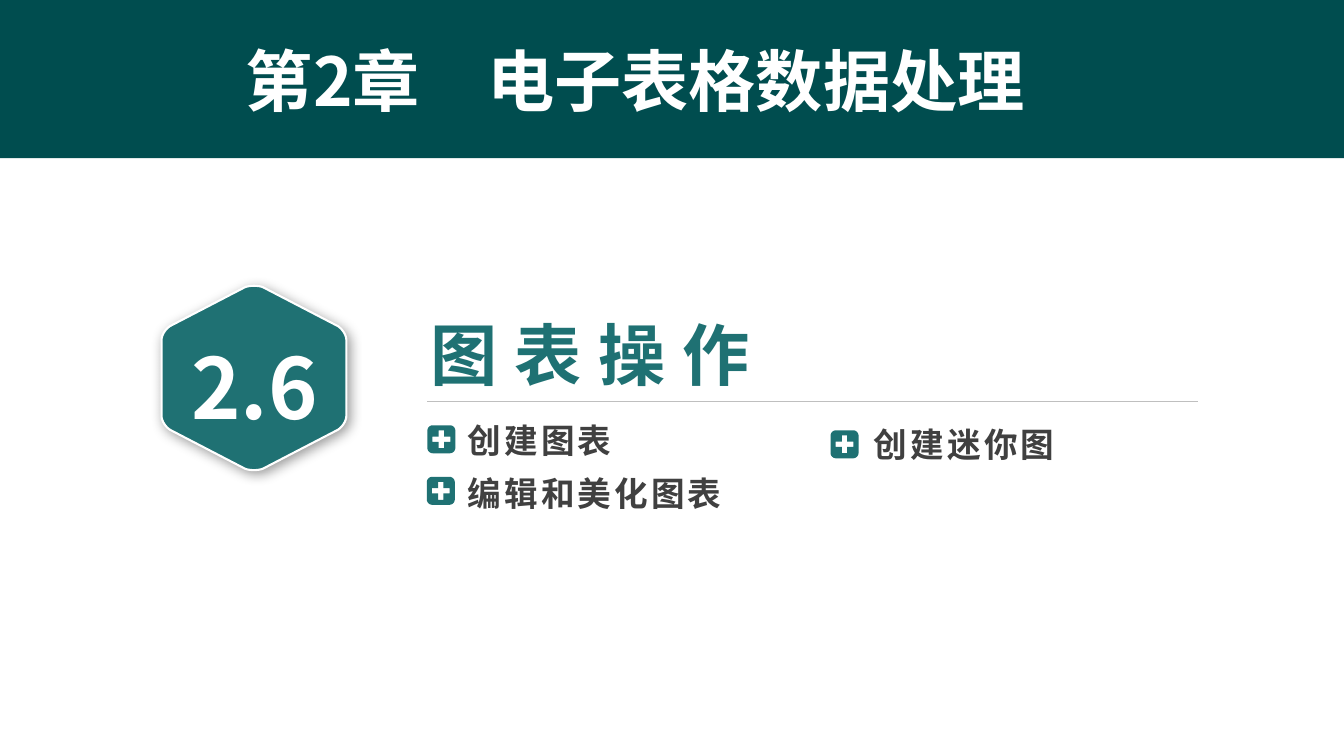
from math import cos, pi, sin
from lxml.etree import SubElement
from pptx import Presentation
from pptx.dml.color import RGBColor
from pptx.enum.shapes import MSO_CONNECTOR, MSO_SHAPE
from pptx.enum.text import MSO_ANCHOR, MSO_AUTO_SIZE, PP_ALIGN
from pptx.oxml.ns import qn
from pptx.util import Pt

# Content
CHAPTER = "第2章　电子表格数据处理"
SECTION_NO = "2.6"
SECTION = "图表操作"
# (label, icon left, icon top, text left, text top, text width)
TOPICS = [
    ("创建图表", 305.3, 303.8, 331.2, 298.8, 274.3),
    ("编辑和美化图表", 304.9, 340.6, 331.2, 336.2, 229.7),
    ("创建迷你图", 593.3, 307.4, 621.4, 301.7, 211),
]

# Style
FONT = "Noto Sans CJK SC"
DARK_TEAL = RGBColor(0x00, 0x4D, 0x4F)
TEAL = RGBColor(0x1F, 0x71, 0x73)
WHITE = RGBColor(0xFF, 0xFF, 0xFF)
DARK_GREY = RGBColor(0x40, 0x40, 0x40)
LIGHT_GREY = RGBColor(0xBF, 0xBF, 0xBF)
TIGHT = (2.9, 1.4)      # side and top insets
NORMAL = (7.2, 3.6)

# Geometry
BADGE_CENTRE = (181.4, 270)
SIDE_CORNER = [(66, -27), (66, -31), (63, -35), (60, -37)]
TOP_CORNER = [(6.5, -64.8), (3, -66.2), (-3, -66.2), (-6.5, -64.8)]
ICON, RADIUS = 20, 3.9
CROSS_REACH, CROSS_HALF = 6.4, 1.9


def write(sp, text, size, color, spacing=0, align=PP_ALIGN.LEFT, insets=NORMAL):
    tf = sp.text_frame
    side, top = insets
    frame = {"word_wrap": True, "auto_size": MSO_AUTO_SIZE.NONE,
             "vertical_anchor": MSO_ANCHOR.TOP,
             "margin_left": Pt(side), "margin_right": Pt(side),
             "margin_top": Pt(top), "margin_bottom": Pt(top)}
    for name, value in frame.items():
        setattr(tf, name, value)
    p = tf.paragraphs[0]
    p.alignment = align
    r = p.add_run()
    r.text = text
    for name, value in {"size": Pt(size), "bold": True, "name": FONT}.items():
        setattr(r.font, name, value)
    r.font.color.rgb = color
    rPr = r.font._element
    SubElement(rPr, qn("a:ea")).set("typeface", FONT)
    if spacing:
        rPr.set("spc", str(round(spacing * 100)))


def add_text(s, box, *args, **kwargs):
    write(s.shapes.add_textbox(*map(Pt, box)), *args, **kwargs)


def add_outline(s, centre, contours, fill):
    cx, cy = centre
    placed = [[(Pt(cx + x), Pt(cy + y)) for x, y in c] for c in contours]
    builder = s.shapes.build_freeform(*placed[0][0])
    for i, points in enumerate(placed):
        if i:
            builder.move_to(*points[0])
        builder.add_line_segments(points[1:], close=True)
    sp = builder.convert_to_shape()
    sp.shadow.inherit = False
    sp.fill.solid()
    sp.fill.fore_color.rgb = fill
    sp.line.fill.background()
    return sp


def bezier(points, steps=8):
    for i in range(steps + 1):
        t = i / steps
        weights = ((1 - t) ** 3, 3 * t * (1 - t) ** 2, 3 * t * t * (1 - t), t ** 3)
        yield tuple(sum(w * p[axis] for w, p in zip(weights, points)) for axis in (0, 1))


def hexagon():
    mirrored = [(-x, y) for x, y in reversed(SIDE_CORNER)]
    upper = [pt for c in (SIDE_CORNER, TOP_CORNER, mirrored) for pt in bezier(c)]
    return upper + [(-x, -y) for x, y in upper]


def plus_icon():
    k, steps = ICON / 2 - RADIUS, 6
    square, cross = [], []
    for quarter, (sx, sy) in enumerate([(1, 1), (-1, 1), (-1, -1), (1, -1)]):
        for i in range(steps + 1):
            a = (quarter + i / steps) * pi / 2
            square.append((sx * k + RADIUS * cos(a), sy * k + RADIUS * sin(a)))
        arm = [(CROSS_REACH, CROSS_HALF), (CROSS_HALF, CROSS_HALF), (CROSS_HALF, CROSS_REACH)]
        cross += [(sx * x, sy * y) for x, y in (arm if sx == sy else arm[::-1])]
    return [square, cross[::-1]]


prs = Presentation()
prs.slide_width, prs.slide_height = Pt(960), Pt(540)
s = prs.slides.add_slide(prs.slide_layouts[5])

# Chapter title on its band
title = s.shapes.title
title.left, title.top, title.width, title.height = map(Pt, (168.5, 24.5, 639.4, 65.5))
write(title, CHAPTER, 48, WHITE, align=PP_ALIGN.JUSTIFY)
band = s.shapes.add_shape(MSO_SHAPE.RECTANGLE, 0, 0, prs.slide_width, Pt(113))
band.shadow.inherit = False
band.fill.solid()
band.fill.fore_color.rgb = DARK_TEAL
band.line.fill.background()
title._element.addprevious(band._element)

# Section number badge with a soft shadow
badge = add_outline(s, BADGE_CENTRE, [hexagon()], TEAL)
badge.line.color.rgb = WHITE
badge.line.width = Pt(1.5)
effects = badge._element.spPr.find(qn("a:effectLst"))
shadow = SubElement(effects, qn("a:outerShdw"), blurRad=str(Pt(9)), dist=str(Pt(3)),
                    dir="2700000", algn="tl", rotWithShape="0")
shade = SubElement(shadow, qn("a:srgbClr"), val="000000")
SubElement(shade, qn("a:alpha"), val="40000")
add_text(s, (126.7, 236.2, 110.2, 80), SECTION_NO, 60, WHITE, align=PP_ALIGN.CENTER)

# Section heading and rule
add_text(s, (304.6, 222.5, 408.2, 61.2), SECTION, 48, TEAL, spacing=12, insets=TIGHT)
rule = s.shapes.add_connector(MSO_CONNECTOR.STRAIGHT, Pt(305.3), Pt(286.6), Pt(855.4), Pt(286.6))
rule.line.color.rgb = LIGHT_GREY
rule.line.width = Pt(0.5)
SubElement(rule._element.spPr, qn("a:effectLst"))

# Topics
for label, icon_x, icon_y, text_x, text_y, width in TOPICS:
    add_outline(s, (icon_x + ICON / 2, icon_y + ICON / 2), plus_icon(), TEAL)
    add_text(s, (text_x, text_y, width, 32.4), label, 24, DARK_GREY, spacing=2.2, insets=TIGHT)

prs.save("out.pptx")
